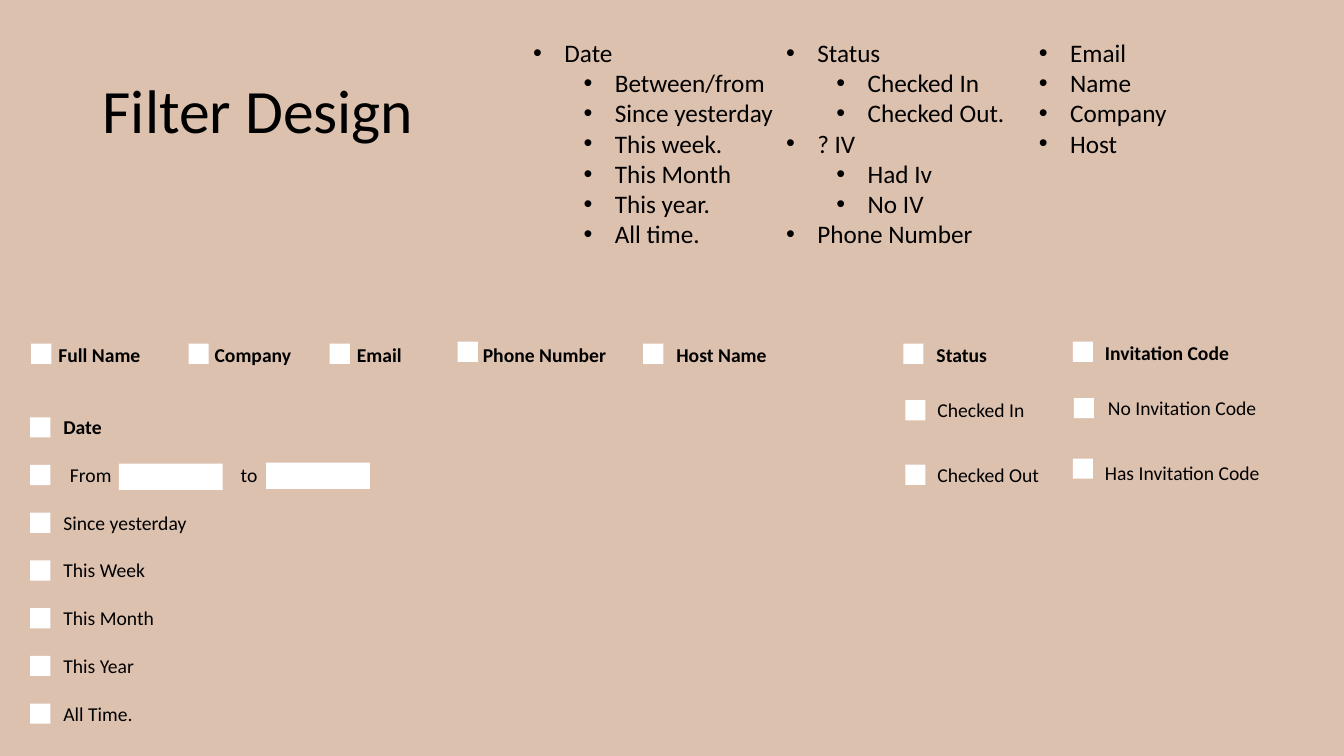
from dataclasses import dataclass

from lxml.etree import SubElement
from pptx import Presentation
from pptx.dml.color import RGBColor
from pptx.enum.shapes import MSO_SHAPE
from pptx.enum.text import MSO_ANCHOR, MSO_AUTO_SIZE, PP_ALIGN
from pptx.oxml.ns import qn
from pptx.util import Inches, Pt


@dataclass(frozen=True)
class Theme:
    font: str = "Calibri"
    background: RGBColor = RGBColor(0xDD, 0xC1, 0xAF)
    ink: RGBColor = RGBColor(0, 0, 0)
    field: RGBColor = RGBColor(0xFF, 0xFF, 0xFF)
    title_size: int = 44
    list_size: int = 18
    label_size: int = 14


THEME = Theme()
CHECK_SIZE = 0.2
LABEL_HEIGHT = 0.34

# Filter outline: (level, text)
OUTLINE = [
    (0, "Date"), (1, "Between/from"), (1, "Since yesterday"), (1, "This week."),
    (1, "This Month"), (1, "This year."), (1, "All time."),
    (0, "Status"), (1, "Checked In"), (1, "Checked Out."),
    (0, "? IV"), (1, "Had Iv"), (1, "No IV"), (0, "Phone Number"),
    (0, "Email"), (0, "Name"), (0, "Company"), (0, "Host"),
]

# Options: text, check left, check top, label left, label top, label width
HEADINGS = [
    ("Full Name", 0.31, 3.41, 0.48, 3.35, 1.1),
    ("Company", 1.87, 3.41, 2.03, 3.35, 1.12),
    ("Email", 3.27, 3.41, 3.44, 3.35, 0.81),
    ("Phone Number", 4.54, 3.39, 4.69, 3.35, 1.57),
    ("Host Name", 6.38, 3.41, 6.61, 3.35, 1.4),
    ("Status", 8.96, 3.41, 9.19, 3.35, 0.87),
    ("Invitation Code", 10.64, 3.39, 10.86, 3.33, 1.62),
]
CHOICES = [
    ("Checked In", 8.98, 3.97, 9.2, 3.9, 1.1),
    ("Checked Out", 8.98, 4.61, 9.2, 4.54, 1.34),
    ("No Invitation Code", 10.65, 3.95, 10.89, 3.88, 1.82),
    ("Has Invitation Code", 10.64, 4.55, 10.86, 4.52, 1.85),
]

# Date column: evenly spaced rows, the second one holds the date range
DATE_ROWS = ["Date", "From", "Since yesterday", "This Week", "This Month",
             "This Year", "All Time."]
DATE_LEFT, DATE_TOP, DATE_BOTTOM = 0.3, 4.14, 6.98
DATE_PITCH = (DATE_BOTTOM - DATE_TOP) / (len(DATE_ROWS) - 1)


def add_span(para, text, size, bold=False):
    span = para.add_run()
    span.text = text
    span.font.name = THEME.font
    span.font.size = Pt(size)
    span.font.bold = bold
    span.font.color.rgb = THEME.ink


def add_box(parent, left, top, width, height):
    box = parent.shapes.add_textbox(Inches(left), Inches(top), Inches(width), Inches(height))
    box.text_frame.word_wrap = True
    return box


def add_title(page, text):
    frame = add_box(page, 0.92, 0.4, 11.5, 1.45).text_frame
    frame.vertical_anchor = MSO_ANCHOR.MIDDLE
    para = frame.paragraphs[0]
    para.line_spacing = 0.9
    add_span(para, text, THEME.title_size)


def add_bullet(para, level):
    para.level = level
    properties = para._p.get_or_add_pPr()
    properties.set("marL", str(Inches(0.31 + 0.5 * level)))
    properties.set("indent", str(Inches(-0.31)))
    SubElement(properties, qn("a:buFont")).set("typeface", "Arial")
    SubElement(properties, qn("a:buChar")).set("char", "•")


def add_outline(page, items):
    frame = add_box(page, 5.19, 0.32, 7.72, 2.22).text_frame
    frame.auto_size = MSO_AUTO_SIZE.SHAPE_TO_FIT_TEXT
    frame._txBody.bodyPr.set("numCol", "3")
    for index, (level, text) in enumerate(items):
        para = frame.add_paragraph() if index else frame.paragraphs[0]
        add_bullet(para, level)
        add_span(para, text, THEME.list_size)


def add_field(parent, left, top, width, height):
    field = parent.shapes.add_shape(
        MSO_SHAPE.RECTANGLE, Inches(left), Inches(top), Inches(width), Inches(height))
    field.shadow.inherit = False
    field.fill.solid()
    field.fill.fore_color.rgb = THEME.field
    field.line.fill.background()


def add_label(parent, text, left, top, width, bold=False, align=PP_ALIGN.LEFT):
    frame = add_box(parent, left, top, width, LABEL_HEIGHT).text_frame
    frame.auto_size = MSO_AUTO_SIZE.SHAPE_TO_FIT_TEXT
    para = frame.paragraphs[0]
    para.alignment = align
    add_span(para, text, THEME.label_size, bold)


def add_option(page, text, check_left, check_top, left, top, width, bold=False):
    group = page.shapes.add_group_shape()
    add_field(group, check_left, check_top, CHECK_SIZE, CHECK_SIZE)
    add_label(group, text, left, top, width, bold)


def add_date_range(page, top):
    group = page.shapes.add_group_shape()
    add_field(group, DATE_LEFT, top, CHECK_SIZE, CHECK_SIZE)
    for text, label_left, field_left, field_top in [
            ("From", 0.51, 1.18, 4.6), ("to", 2.08, 2.64, 4.59)]:
        add_label(group, text, label_left, top - 0.07, 0.78, align=PP_ALIGN.CENTER)
        add_field(group, field_left, field_top, 1.03, 0.26)


def add_date_column(page):
    for index, text in enumerate(DATE_ROWS):
        top = DATE_TOP + index * DATE_PITCH
        if text == "From":
            add_date_range(page, top)
        else:
            add_option(page, text, DATE_LEFT, top, 0.53, top - 0.07, 1.53, bold=index == 0)


def main():
    deck = Presentation()
    deck.slide_width, deck.slide_height = Inches(13.33), Inches(7.5)
    page = deck.slides.add_slide(deck.slide_layouts[6])
    page.background.fill.solid()
    page.background.fill.fore_color.rgb = THEME.background

    # Title and outline of the filters
    add_title(page, "Filter Design")
    add_outline(page, OUTLINE)

    # Filter form
    for heading in HEADINGS:
        add_option(page, *heading, bold=True)
    for choice in CHOICES:
        add_option(page, *choice)
    add_date_column(page)

    deck.save("out.pptx")


if __name__ == "__main__":
    main()
